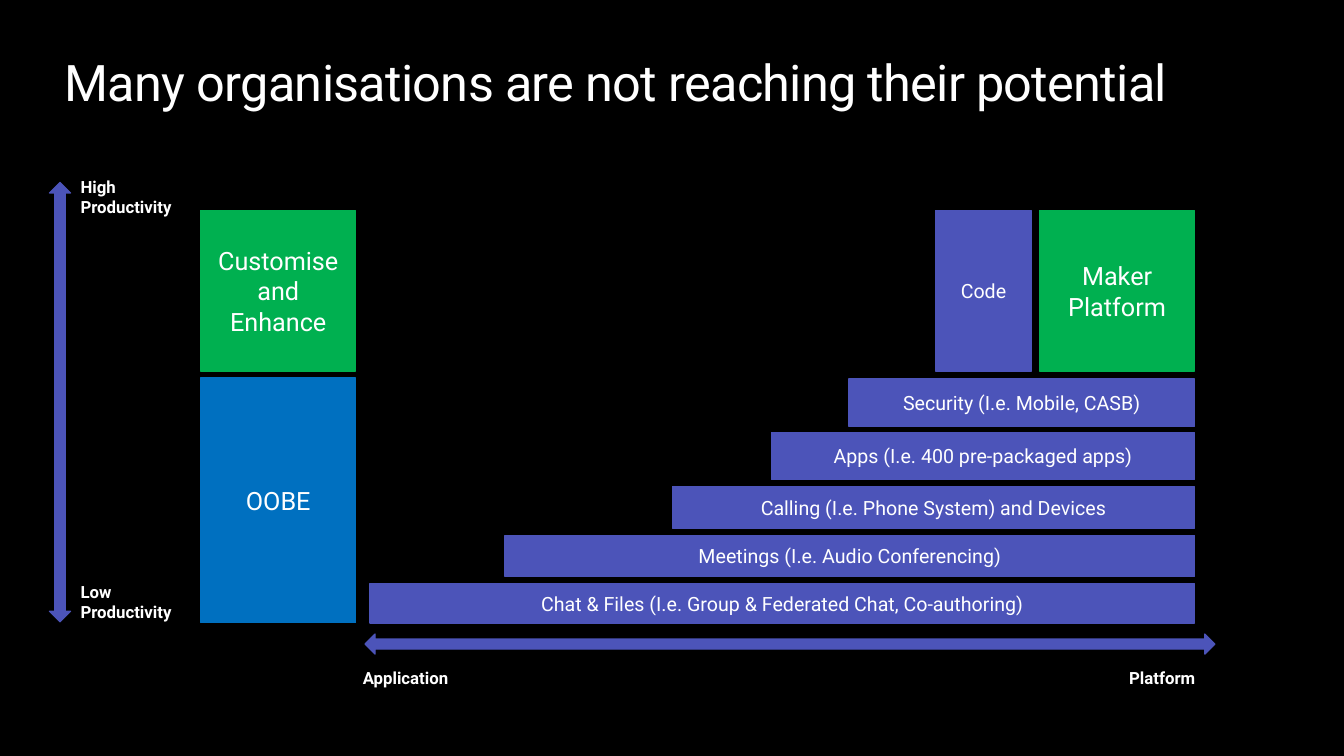
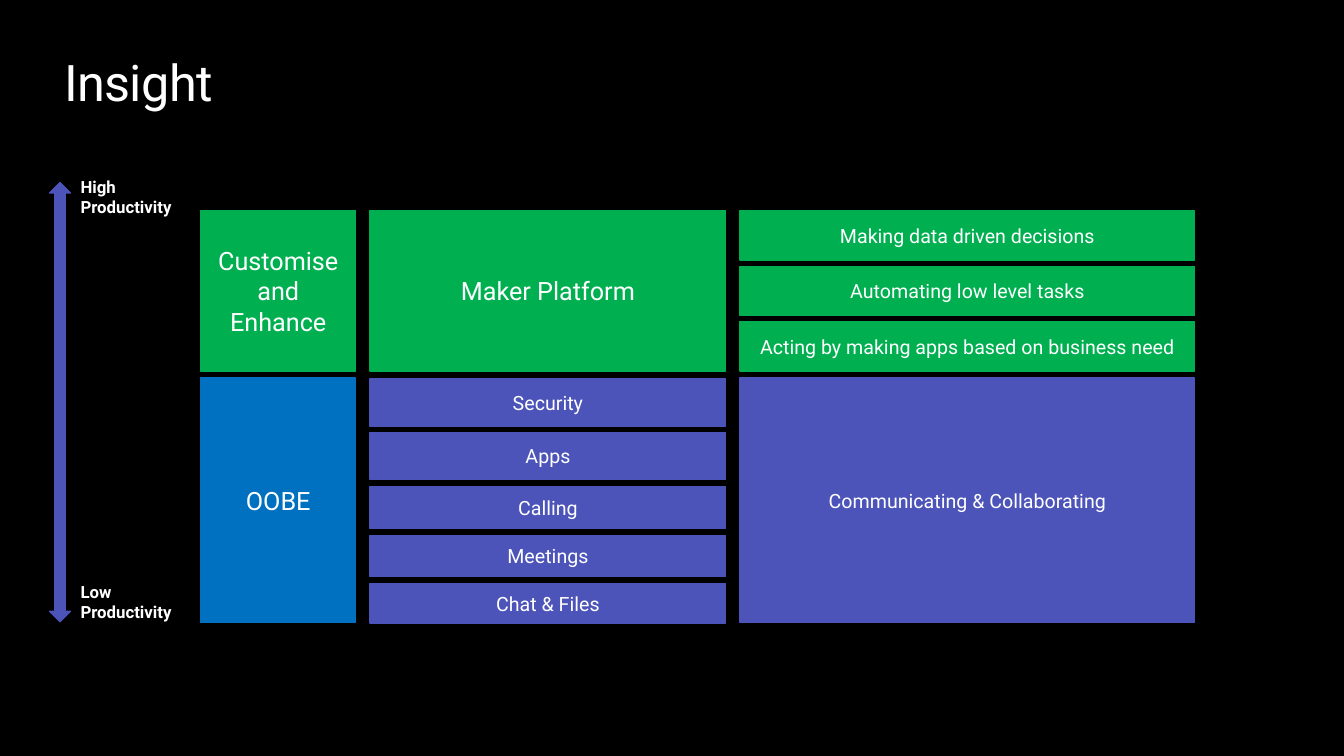
from pptx import Presentation
from pptx.dml.color import RGBColor
from pptx.enum.shapes import MSO_SHAPE
from pptx.enum.text import MSO_ANCHOR, PP_ALIGN
from pptx.util import Inches, Pt

BLACK = RGBColor(0x00, 0x00, 0x00)
WHITE = RGBColor(0xFF, 0xFF, 0xFF)
INDIGO = RGBColor(0x4C, 0x54, 0xB9)
GREEN = RGBColor(0x00, 0xB0, 0x50)
BLUE = RGBColor(0x00, 0x70, 0xC0)
FONT = "Roboto"
RECT = MSO_SHAPE.RECTANGLE
TALL = MSO_SHAPE.UP_DOWN_ARROW
WIDE = MSO_SHAPE.LEFT_RIGHT_ARROW
LEFT, CENTER = PP_ALIGN.LEFT, PP_ALIGN.CENTER
TOP, MIDDLE = MSO_ANCHOR.TOP, MSO_ANCHOR.MIDDLE

# Grid in inches: (left, width) of columns, (top, height) of rows
SIDE, MID, LAST = (1.99, 1.54), (3.67, 3.53), (7.34, 4.51)
UPPER, LOWER = (2.09, 1.59), (3.75, 2.43)
EDGE = LAST[0] + LAST[1]
THIRD = 0.49
STEP = (UPPER[1] - THIRD) / 2

# Row top, row height, left of the stair, short label, detail
STAIRS = [
    (5.79, 0.39, 3.67, "Chat & Files", "(I.e. Group & Federated Chat, Co-authoring)"),
    (5.31, 0.41, 5.01, "Meetings", "(I.e. Audio Conferencing)"),
    (4.83, 0.41, 6.67, "Calling", "(I.e. Phone System) and Devices"),
    (4.29, 0.47, 7.65, "Apps", "(I.e. 400 pre-packaged apps)"),
    (3.76, 0.47, 8.42, "Security", "(I.e. Mobile, CASB)"),
]
GOALS = ["Making data driven decisions", "Automating low level tasks",
         "Acting by making apps based on business need"]
TITLES = ["Many organisations are not reaching their potential", "Insight"]
MAKER = "Maker Platform"


def write(shape, text, size=12, bold=False, align=LEFT, anchor=TOP):
    frame = shape.text_frame
    frame.word_wrap = True
    frame.vertical_anchor = anchor
    line = frame.paragraphs[0]
    line.alignment = align
    run = line.add_run()
    run.text = text
    run.font.name, run.font.size, run.font.bold = FONT, Pt(size), bold
    run.font.color.rgb = WHITE
    return run


def block(slide, col, row, text="", fill=INDIGO, size=14, kind=RECT):
    """Draw a filled shape on a (left, width) column and (top, height) row."""
    shape = slide.shapes.add_shape(
        kind, Inches(col[0]), Inches(row[0]), Inches(col[1]), Inches(row[1]))
    shape.shadow.inherit = False
    shape.fill.solid()
    shape.fill.fore_color.rgb = fill
    shape.line.color.rgb = fill
    shape.line.width = Pt(0.85)
    if text:
        write(shape, text, size=size, align=CENTER, anchor=MIDDLE)


deck = Presentation()
deck.slide_width, deck.slide_height = Inches(13.33), Inches(7.5)
back = deck.slide_master.background.fill
back.solid()
back.fore_color.rgb = BLACK

# Title, productivity axis and side column on both slides
slides = []
for text in TITLES:
    slide = deck.slides.add_slide(deck.slide_layouts[5])
    slides.append(slide)
    title = slide.shapes.title
    title.left, title.top = Inches(0.64), Inches(0.5)
    title.width, title.height = Inches(12.05), Inches(0.61)
    frame = title.text_frame
    frame.margin_left = frame.margin_right = 0
    frame.margin_top = frame.margin_bottom = 0
    run = write(title, text, size=36, anchor=MIDDLE)
    run.font._element.set("spc", "-50")

    block(slide, (0.49, 0.21), (1.81, 4.36), kind=TALL)
    for top, level in ((1.7, "High"), (5.72, "Low")):
        label = slide.shapes.add_textbox(
            Inches(0.7), Inches(top), Inches(1.19), Inches(0.5))
        write(label, f"{level} Productivity", bold=True)
    block(slide, SIDE, UPPER, "Customise and Enhance", fill=GREEN, size=18)
    block(slide, SIDE, LOWER, "OOBE", fill=BLUE, size=18)

first, second = slides

# The same rows: stairs on the first slide, a stack on the second
for top, high, left, name, detail in STAIRS:
    block(first, (left, EDGE - left), (top, high), f"{name} {detail}")
    block(second, MID, (top, high), name)

# First slide: upper blocks and the platform axis
block(first, (9.28, 0.95), UPPER, "Code")
block(first, (EDGE - SIDE[1], SIDE[1]), UPPER, MAKER, fill=GREEN, size=18)
block(first, (3.62, 8.43), (6.29, 0.2), kind=WIDE)
for left, wide, text in ((3.5, 1.13, "Application"), (11.1, 0.95, "Platform")):
    label = first.shapes.add_textbox(
        Inches(left), Inches(6.58), Inches(wide), Inches(0.3))
    write(label, text, bold=True)

# Second slide: platform and goals
block(second, MID, UPPER, MAKER, fill=GREEN, size=18)
block(second, LAST, LOWER, "Communicating & Collaborating")
for i, goal in enumerate(GOALS):
    block(second, LAST, (UPPER[0] + i * STEP, THIRD), goal, fill=GREEN)

deck.save("out.pptx")
